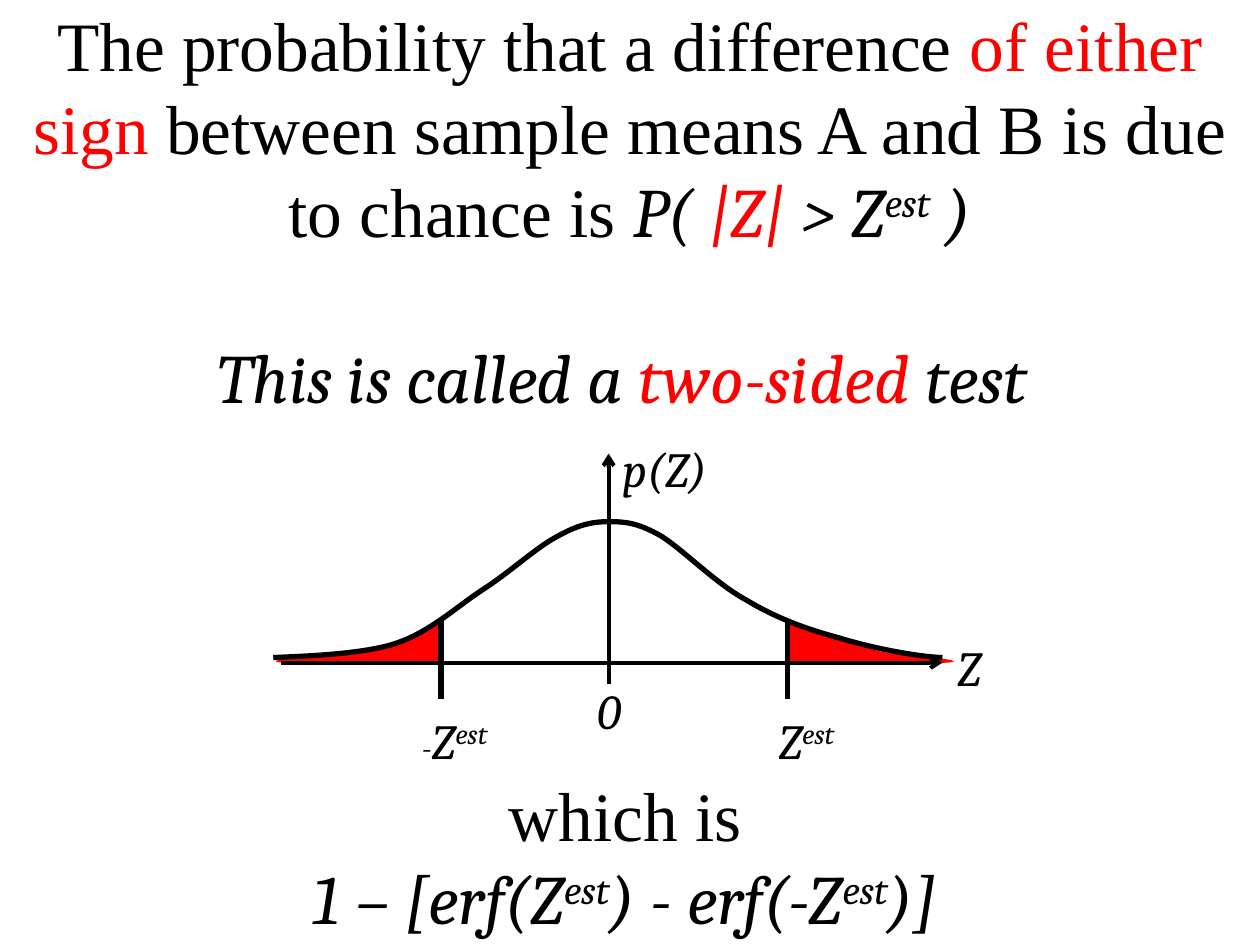
"""Builds a slide that explains the two-sided Z test with a bell curve."""
from dataclasses import dataclass

from lxml import etree
from pptx import Presentation
from pptx.dml.color import RGBColor
from pptx.enum.shapes import MSO_CONNECTOR
from pptx.enum.text import MSO_ANCHOR, PP_ALIGN
from pptx.oxml.ns import qn
from pptx.util import Pt

STRAIGHT = MSO_CONNECTOR.STRAIGHT
MIDDLE, TOP = MSO_ANCHOR.MIDDLE, MSO_ANCHOR.TOP
CENTER, LEFT = PP_ALIGN.CENTER, PP_ALIGN.LEFT


@dataclass(frozen=True)
class Theme:
    ink: RGBColor = RGBColor(0, 0, 0)
    accent: RGBColor = RGBColor(255, 0, 0)
    prose_font: str = "Times New Roman"
    math_font: str = "Cambria"
    statement: float = 39.6
    label: float = 28
    minus: float = 18
    axis_width: float = 2.25
    curve_width: float = 3


THEME = Theme()
PROSE = {"name": THEME.prose_font, "size": Pt(THEME.statement), "italic": False}
MATH = {"name": THEME.math_font, "size": Pt(THEME.statement), "italic": True}
LABEL = {**MATH, "size": Pt(THEME.label)}
MINUS = {**MATH, "size": Pt(THEME.minus)}

AXIS_Y, TICK_TOP, TICK_BOTTOM = 378.7, 355, 399.6
Z_LOW, Z_HIGH = 252, 450

BELL = [
    (156.2, 375.8),
    (167.8, 375.1), (205.2, 374.4), (225.4, 367.9),
    (245.5, 361.4), (260.6, 347), (275.8, 337),
    (291.6, 326.9), (306, 313.2), (318.2, 306.7),
    (329.8, 300.2), (337.7, 298.1), (347.8, 298.1),
    (357.8, 298.1), (364.3, 298.8), (377.3, 306),
    (390.2, 313.9), (409, 333.4), (426.2, 342.7),
    (442.8, 352.8), (460.1, 359.3), (478.8, 364.3),
    (497.5, 370.1), (522.7, 375.1), (538.6, 375.8),
]
RIGHT_TAIL = [
    (540.7, 378.7),
    (527.8, 379.4), (473.8, 378), (450.7, 378.7),
    (450.7, 356.4), (450, 380.9), (451.4, 355),
    (464.4, 360.7), (463.7, 359.3), (469.4, 361.4),
    (475.9, 363.6), (483.1, 366.5), (489.6, 368.6),
    (496.1, 370.1), (501.1, 372.2), (507.6, 373),
    (514.8, 374.4), (523.4, 375.1), (529.2, 375.1),
    (534.2, 375.8), (553.7, 378), (540.7, 378.7),
]
LEFT_TAIL = [
    (162, 378.7),
    (175, 379.4), (229, 378), (252, 378.7),
    (252, 356.4), (252.7, 380.9), (251.3, 355),
    (239, 360.7), (242.6, 361.4), (237.6, 363.6),
    (231.8, 366.5), (226.1, 367.9), (218.9, 369.4),
    (211.7, 370.8), (202.3, 372.2), (195.1, 373),
    (187.2, 374.4), (179.3, 375.1), (174.2, 375.1),
    (168.5, 375.8), (149, 378), (162, 378.7),
]


def add_curve(slide, controls, close):
    """Add a freeform of cubic Bezier segments, three controls for each."""
    vertices = [(Pt(x), Pt(y)) for x, y in controls]
    builder = slide.shapes.build_freeform(*vertices[0], scale=1.0)
    builder.add_line_segments(vertices[1:], close=close)
    curve = builder.convert_to_shape()
    curve.shadow.inherit = False
    sides = list(curve._element.iter(qn("a:lnTo")))
    for first in range(0, len(sides), 3):
        segment = etree.Element(qn("a:cubicBezTo"))
        sides[first].addprevious(segment)
        for side in sides[first:first + 3]:
            segment.append(side[0])
            side.getparent().remove(side)
    return curve


def add_tail(slide, controls):
    """Add a filled rejection region."""
    tail = add_curve(slide, controls, True)
    tail.fill.solid()
    tail.fill.fore_color.rgb = THEME.accent
    tail.line.fill.background()


def add_bell(slide):
    """Add the probability density curve."""
    bell = add_curve(slide, BELL, False)
    bell.fill.background()
    bell.line.color.rgb = THEME.ink
    bell.line.width = Pt(THEME.curve_width)


def add_rule(slide, start, end, width, arrow=False):
    """Add a straight line, with an arrowhead at its end on request."""
    rule = slide.shapes.add_connector(
        STRAIGHT, *(Pt(value) for value in (*start, *end)))
    rule.line.color.rgb = THEME.ink
    rule.line.width = Pt(width)
    properties = rule._element.spPr
    if arrow:
        etree.SubElement(properties.find(qn("a:ln")), qn("a:tailEnd"), type="arrow")
    etree.SubElement(properties, qn("a:effectLst"))


def add_run(paragraph, text, style, color=THEME.ink, raised=False):
    """Add one formatted run of text."""
    run = paragraph.add_run()
    run.text = text
    for attribute, value in style.items():
        setattr(run.font, attribute, value)
    run.font.color.rgb = color
    if raised:
        run._r.get_or_add_rPr().set("baseline", "30000")


def add_text(slide, box, paragraphs, align=LEFT, anchor=TOP, gap=0):
    """Add a text box whose paragraphs are lists of run arguments."""
    frame = slide.shapes.add_textbox(*(Pt(value) for value in box)).text_frame
    frame.word_wrap = True
    frame.vertical_anchor = anchor
    for index, runs in enumerate(paragraphs):
        paragraph = frame.add_paragraph() if index else frame.paragraphs[0]
        paragraph.alignment = align
        if index and gap:
            paragraph.space_before = Pt(gap)
        for run in runs:
            add_run(paragraph, *run)


def main():
    """Build and save the slide."""
    deck = Presentation()
    deck.slide_width, deck.slide_height = Pt(720), Pt(540)
    slide = deck.slides.add_slide(deck.slide_layouts[6])
    ink, accent = THEME.ink, THEME.accent

    for tail in (RIGHT_TAIL, LEFT_TAIL):
        add_tail(slide, tail)

    add_text(slide, (0, 59.8, 720, 120.2), [
        [("The probability that a difference ", PROSE),
         ("of either sign ", PROSE, accent),
         ("between sample means A and B is due to chance is ", PROSE),
         ("P( ", MATH), ("|Z|", MATH, accent), (" > Z", MATH),
         ("est", MATH, ink, True), (" )", MATH)],
        [("This is called a ", MATH), ("two-sided ", MATH, accent),
         ("test ", MATH)],
    ], CENTER, MIDDLE, gap=47)

    add_rule(slide, (160.6, AXIS_Y), (538.6, AXIS_Y), THEME.axis_width, True)
    add_rule(slide, (347.8, 391), (347.8, 259.2), THEME.axis_width, True)
    add_bell(slide)
    for z in (Z_LOW, Z_HIGH):
        add_rule(slide, (z, TICK_TOP), (z, TICK_BOTTOM), THEME.curve_width)

    estimate = [("Z", LABEL), ("est", LABEL, ink, True)]
    for left, top, width, runs in (
        (334.1, 385.2, 23.8, [("0", LABEL)]),
        (437.8, 402.5, 77.8, estimate),
        (540, 360.7, 38.9, [("Z", LABEL)]),
        (348.5, 247, 101.5, [("p(Z)", LABEL)]),
        (234, 402.5, 77.8, [("-", MINUS), *estimate]),
    ):
        add_text(slide, (left, top, width, 41), [runs])

    add_text(slide, (12.2, 437.8, 689.8, 102.2), [
        [("which is", PROSE)],
        [("1 – [erf(Z", MATH), ("est", MATH, ink, True),
         (") - erf(-Z", MATH), ("est", MATH, ink, True), (")]", MATH)],
    ], CENTER, MIDDLE)

    deck.save("out.pptx")


if __name__ == "__main__":
    main()
